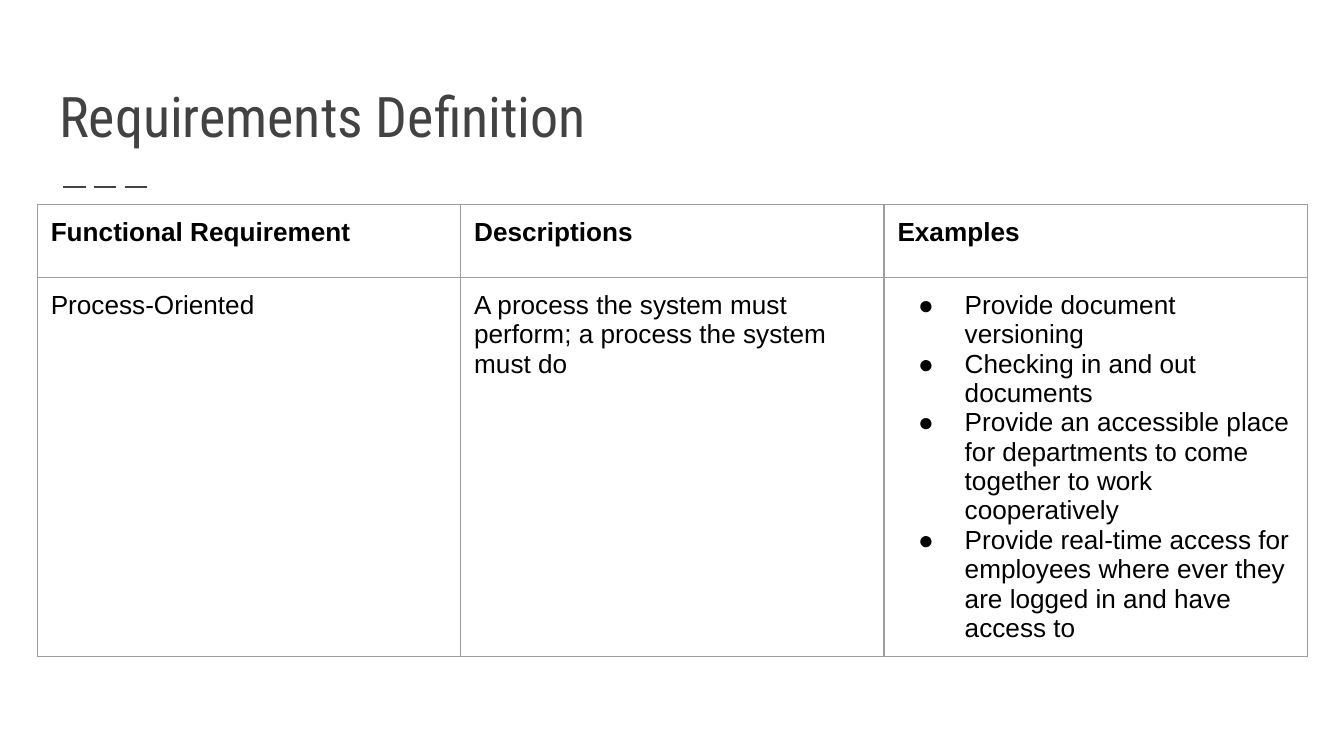
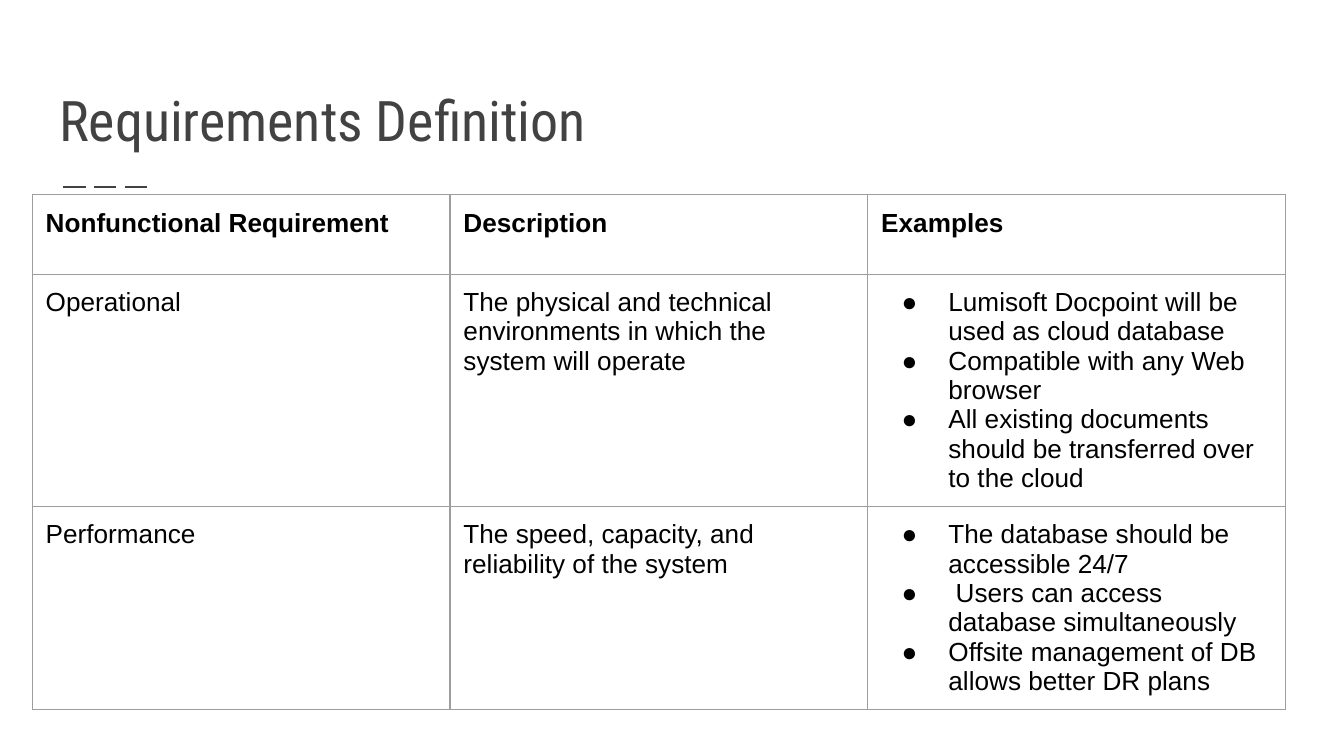
from lxml.etree import SubElement
from pptx import Presentation
from pptx.dml.color import RGBColor
from pptx.enum.dml import MSO_LINE
from pptx.enum.shapes import MSO_CONNECTOR as CONN
from pptx.enum.text import MSO_ANCHOR as ANCHOR, MSO_AUTO_SIZE as AUTO, PP_ALIGN as ALIGN
from pptx.oxml import parse_xml
from pptx.oxml.ns import nsdecls, qn
from pptx.util import Pt

DARK, BLACK, GREY = "424242", "000000", "9E9E9E"
INSET = Pt(7.2)
BORDER = ('<a:{side} {ns} w="9525"><a:solidFill><a:srgbClr val="{color}"/></a:solidFill>'
          '<a:prstDash val="solid"/></a:{side}>')


def rgb(color):
    return RGBColor.from_string(color)


def write(p, text, size=14, font="Arial", color=BLACK, bold=False, bullet=None):
    p.alignment = ALIGN.LEFT
    r = p.add_run()
    r.text = text
    r.font.size, r.font.name, r.font.bold = Pt(size), font, bold
    r.font.color.rgb = rgb(color)
    if bullet:
        pPr = p._p.get_or_add_pPr()
        pPr.set("marL", str(Pt(36)))
        pPr.set("indent", str(Pt(-25)))
        SubElement(SubElement(pPr, qn("a:buClr")), qn("a:srgbClr")).set("val", color)
        SubElement(pPr, qn("a:buFont")).set("typeface", font)
        SubElement(pPr, qn("a:buChar")).set("char", bullet)


# Content: a list in a cell becomes bullets
slides = [
    dict(title_top=29.5, left=20, top=109.5, col_width=226.8, heights=[39, 109.5], rows=[
        ["Functional Requirement", "Descriptions", "Examples"],
        ["Process-Oriented",
         "A process the system must perform; a process the system must do",
         ["Provide document versioning",
          "Checking in and out documents",
          "Provide an accessible place for departments to come together to work cooperatively",
          "Provide real-time access for employees where ever they are logged in "
          "and have access to"]],
    ]),
    dict(title_top=31.5, left=17.3, top=104.4, col_width=223.8, heights=[42.5, 110, 65], rows=[
        ["Nonfunctional Requirement", "Description", "Examples"],
        ["Operational",
         "The physical and technical environments in which the system will operate",
         ["Lumisoft Docpoint will be used as cloud database",
          "Compatible with any Web browser",
          "All existing documents should be transferred over to the cloud"]],
        ["Performance",
         "The speed, capacity, and reliability of the system",
         ["The database should be accessible 24/7",
          " Users can access database simultaneously",
          "Offsite management of DB allows better DR plans"]],
    ]),
]

prs = Presentation()
prs.slide_width, prs.slide_height = Pt(720), Pt(405)
prs.slide_master.background.fill.solid()
prs.slide_master.background.fill.fore_color.rgb = rgb("FFFFFF")

for page in slides:
    s = prs.slides.add_slide(prs.slide_layouts[5])

    # Title
    title = s.shapes.title
    title.left, title.top = Pt(24.5), Pt(page["title_top"])
    title.width, title.height = Pt(671), Pt(57.6)
    tf = title.text_frame
    tf.auto_size, tf.word_wrap, tf.vertical_anchor = AUTO.NONE, True, ANCHOR.BOTTOM
    tf.margin_left = tf.margin_right = tf.margin_top = tf.margin_bottom = INSET
    write(tf.paragraphs[0], "Requirements Definition", size=30, font="Roboto Condensed",
          color=DARK)

    # Dashed rule under the title
    rule = s.shapes.add_connector(CONN.STRAIGHT, Pt(33.8), Pt(100.2), Pt(82), Pt(100.2))
    rule.line.color.rgb = rgb(DARK)
    rule.line.width = Pt(1.5)
    rule.line.dash_style = MSO_LINE.LONG_DASH
    SubElement(rule._element.spPr, qn("a:effectLst"))

    # Requirements table
    rows, heights, width = page["rows"], page["heights"], page["col_width"]
    cols = len(rows[0])
    table = s.shapes.add_table(len(rows), cols, Pt(page["left"]), Pt(page["top"]),
                               Pt(width * cols), Pt(sum(heights))).table
    table.first_row = table.horz_banding = False
    for col in table.columns:
        col.width = Pt(width)
    for i, row in enumerate(rows):
        table.rows[i].height = Pt(heights[i])
        for j, content in enumerate(row):
            cell = table.cell(i, j)
            cell.margin_left = cell.margin_right = INSET
            cell.margin_top = cell.margin_bottom = INSET
            tcPr = cell._tc.get_or_add_tcPr()
            for side in ("lnL", "lnR", "lnT", "lnB"):
                tcPr.append(parse_xml(BORDER.format(side=side, ns=nsdecls("a"), color=GREY)))
            cell.fill.background()
            tf = cell.text_frame
            is_list = isinstance(content, list)
            for k, text in enumerate(content if is_list else [content]):
                p = tf.add_paragraph() if k else tf.paragraphs[0]
                write(p, text, bold=i == 0, bullet="●" if is_list else None)

prs.save("out.pptx")
